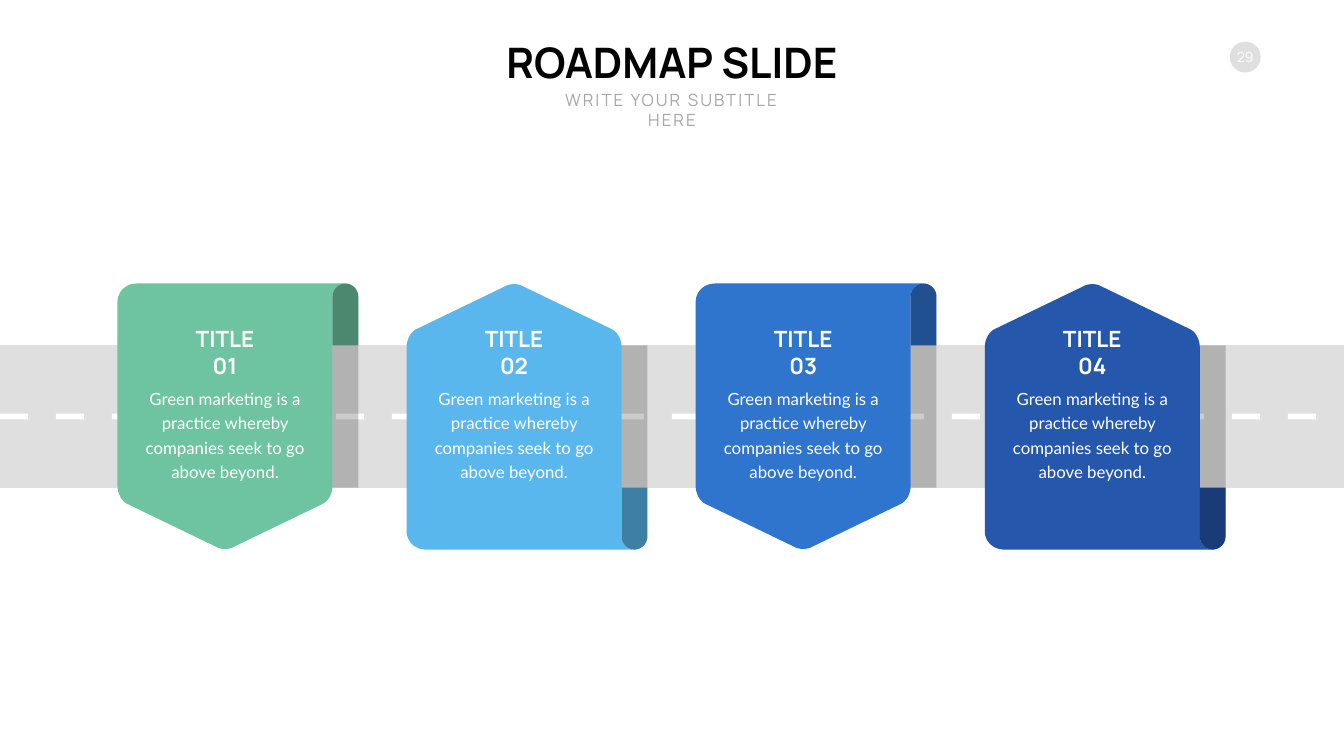
from dataclasses import dataclass

from lxml import etree
from pptx import Presentation
from pptx.dml.color import RGBColor
from pptx.enum.shapes import MSO_SHAPE
from pptx.enum.text import MSO_ANCHOR, PP_ALIGN
from pptx.oxml.ns import qn
from pptx.util import Inches, Pt

OVAL = MSO_SHAPE.OVAL
CENTER = PP_ALIGN.CENTER
TOP, MIDDLE, BOTTOM = MSO_ANCHOR.TOP, MSO_ANCHOR.MIDDLE, MSO_ANCHOR.BOTTOM

BLACK = RGBColor(0x00, 0x00, 0x00)
WHITE = RGBColor(0xFF, 0xFF, 0xFF)
SILVER = RGBColor(0xDF, 0xDF, 0xDF)
GRAY = RGBColor(0xA6, 0xA6, 0xA6)
GREEN = RGBColor(0x6E, 0xC4, 0xA0)
SKY = RGBColor(0x5A, 0xB7, 0xEE)
BLUE = RGBColor(0x2F, 0x74, 0xCD)
NAVY = RGBColor(0x25, 0x57, 0xAC)

# Formats: font values set by name, one dict per text style
HEAD = {"name": "Manrope", "size": Pt(60), "bold": True}
SUB = {"name": "Manrope", "size": Pt(24), "bold": False}
PAGE = {"name": "Manrope", "size": Pt(20), "bold": False}
LABEL = {"name": "Manrope", "size": Pt(32), "bold": True}
BODY = {"name": "Lato", "size": Pt(24), "bold": False}

# Grid: one column holds a dash and its gap
WIDE, HIGH = Inches(26.66), Inches(15)
COLS = 24
COL = WIDE / COLS
STEP = 0.2151 * WIDE  # from card to card
CARD_X, CARD_Y = 0.0874 * WIDE, 0.375 * HIGH
CARD_W, CARD_H = 0.16 * WIDE, 0.352 * HIGH
ROAD_H = 0.188 * HIGH
MID = CARD_Y + CARD_H / 2
EDGE = (1 - ROAD_H / CARD_H) / 2  # road edge as a share of the card
FLAP = 1.12  # right side of the flap

# Outlines in shares of the card: pairs are lines, sixes are curves
BANNER = [(1.06, 0), (0.09, 0), (0.04, 0, 0, 0.03, 0, 0.07), (0, 0.76),
          (0, 0.79, 0.02, 0.82, 0.05, 0.83), (0.46, 0.99),
          (0.48, 1, 0.52, 1, 0.54, 0.99), (0.95, 0.83),
          (0.98, 0.82, 1, 0.79, 1, 0.76), (1, 0.05),
          (1, 0.02, 1.03, 0, 1.06, 0)]
FOLD = [(FLAP, EDGE), (FLAP, 0.05), (FLAP, 0.02, 1.09, 0, 1.06, 0),
        (1.03, 0, 1, 0.02, 1, 0.05), (1, EDGE)]
SHADE = [(1, EDGE), (FLAP, EDGE), (FLAP, 1 - EDGE), (1, 1 - EDGE)]


@dataclass
class Card:
    label: str
    color: RGBColor
    flip: bool
    text: str = "Green marketing is a practice whereby companies seek to go above beyond."


CARDS = [Card("TITLE 01", GREEN, False), Card("TITLE 02", SKY, True),
         Card("TITLE 03", BLUE, False), Card("TITLE 04", NAVY, True)]


def paint(shape, color: RGBColor, alpha: int = 100) -> None:
    shape.shadow.inherit = False
    shape.line.fill.background()
    shape.fill.solid()
    shape.fill.fore_color.rgb = color
    if alpha < 100:
        tone = shape.fill._xPr.find(qn("a:solidFill"))[0]
        etree.SubElement(tone, qn("a:alpha")).set("val", str(alpha * 1000))


def trace(path: list, count: int = 12) -> list:
    """Turn lines and cubic curves into a list of points."""
    dots = []
    for part in path:
        if len(part) == 2:
            dots.append(part)
            continue
        start, one, two, end = dots[-1], part[:2], part[2:4], part[4:]
        for i in range(1, count + 1):
            t = i / count
            s = 1 - t
            dots.append(tuple(
                s**3 * a + 3 * s * s * t * b + 3 * s * t * t * c + t**3 * d
                for a, b, c, d in zip(start, one, two, end)))
    return dots


def draw(slide, loops: list, color: RGBColor, alpha: int = 100) -> None:
    pen = slide.shapes.build_freeform(*loops[0][0])
    for i, loop in enumerate(loops):
        if i:
            pen.move_to(*loop[0])
        pen.add_line_segments(loop[1:], close=True)
    paint(pen.convert_to_shape(), color, alpha)


def box(x: float, y: float, w: float, h: float) -> list:
    return [(x, y), (x + w, y), (x + w, y + h), (x, y + h)]


def place(shape, x: float, y: float, w: float, h: float) -> None:
    spots = {"left": x, "top": y, "width": w, "height": h}
    for name, value in spots.items():
        setattr(shape, name, int(value))


def write(shape, text: str, style: dict, color: RGBColor, anchor, wrap: bool = True):
    frame = shape.text_frame
    frame.word_wrap = wrap
    frame.vertical_anchor = anchor
    line = frame.paragraphs[0]
    line.alignment = CENTER
    line.space_before = Pt(0)
    run = line.add_run()
    run.text = text
    for name, value in style.items():
        setattr(run.font, name, value)
    run.font.color.rgb = color
    return line


def add_text(slide, spot: tuple, *style):
    shape = slide.shapes.add_textbox(0, 0, 0, 0)
    place(shape, *spot)
    return write(shape, *style)


def add_card(slide, card: Card, left: float) -> None:
    def fit(path: list) -> list:
        return [(left + u * CARD_W, CARD_Y + (1 - v if card.flip else v) * CARD_H)
                for u, v in trace(path)]

    # Banner, flap and the shades on them
    draw(slide, [fit(BANNER)], card.color)
    draw(slide, [fit(FOLD)], card.color)
    draw(slide, [fit(SHADE)], BLACK, 20)
    draw(slide, [fit(FOLD)], BLACK, 30)

    # Words, centred on the banner
    mid, seam = left + CARD_W / 2, 0.505 * HIGH
    wide, slim = 0.13 * WIDE, 0.07 * WIDE
    line = add_text(slide, (mid - wide / 2, seam, wide, 0.134 * HIGH),
                    card.text, BODY, WHITE, TOP)
    line.line_spacing = Pt(35)
    tall = 0.043 * HIGH
    add_text(slide, (mid - slim / 2, seam - tall, slim, tall),
             card.label, LABEL, WHITE, BOTTOM)


def main() -> None:
    deck = Presentation()
    deck.slide_width, deck.slide_height = WIDE, HIGH
    slide = deck.slides.add_slide(deck.slide_layouts[0])

    # Title and subtitle
    title, sub = slide.placeholders
    place(title, 0.369 * WIDE, 0.045 * HIGH, 0.262 * WIDE, 0.074 * HIGH)
    write(title, "ROADMAP SLIDE", HEAD, BLACK, TOP, False)
    place(sub, 0.398 * WIDE, 0.115 * HIGH, 0.204 * WIDE, 0.033 * HIGH)
    line = write(sub, "WRITE YOUR SUBTITLE HERE", SUB, GRAY, TOP)
    line.runs[0]._r.get_or_add_rPr().set("spc", "300")

    # Page number
    badge = slide.shapes.add_shape(OVAL, 0, 0, 0, 0)
    size = 0.023 * WIDE
    place(badge, 0.915 * WIDE, 0.055 * HIGH, size, size)
    paint(badge, SILVER)
    write(badge, "29", PAGE, WHITE, MIDDLE, False)

    # Road with its dashes
    draw(slide, [box(0, MID - ROAD_H / 2, WIDE, ROAD_H)], SILVER)
    thick = 0.0074 * HIGH
    draw(slide, [box(i * COL, MID - thick / 2, COL / 2, thick)
                 for i in range(COLS)], WHITE)

    # Cards along the road
    for i, card in enumerate(CARDS):
        add_card(slide, card, CARD_X + i * STEP)

    deck.save("out.pptx")


if __name__ == "__main__":
    main()
